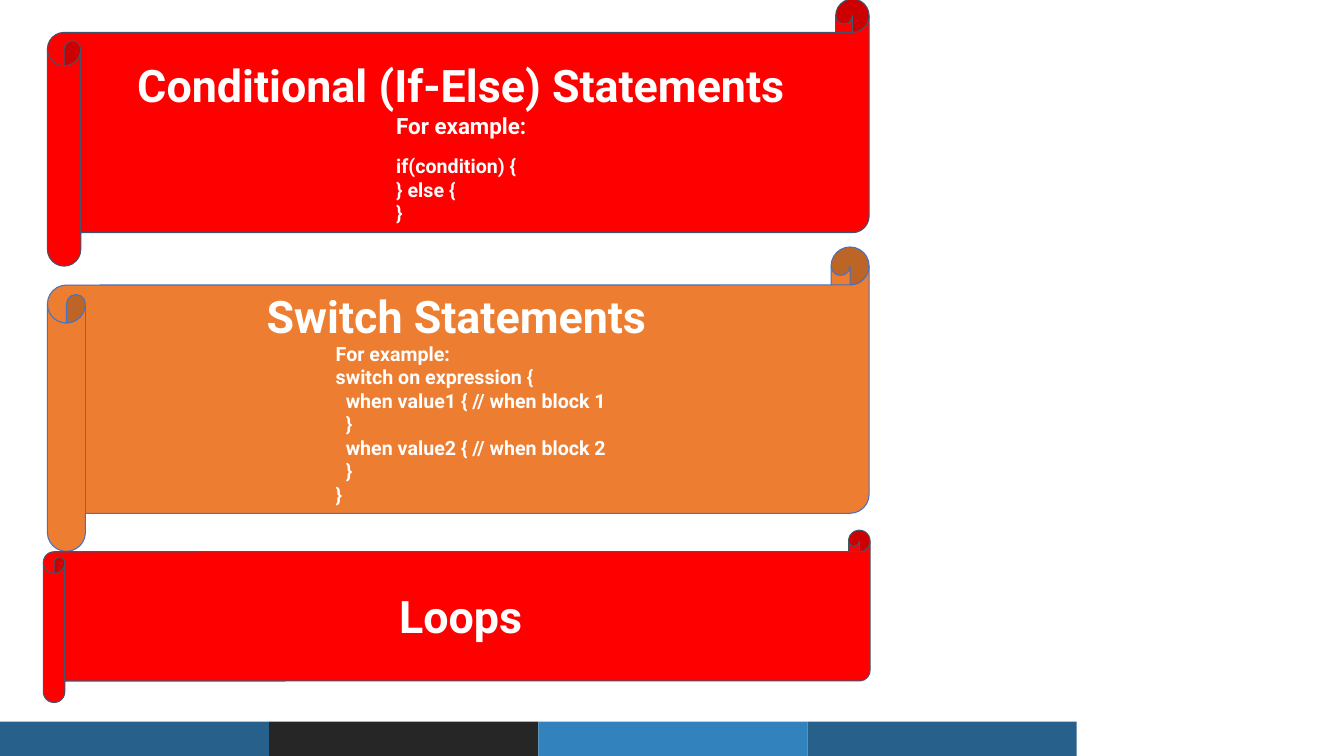
from pptx import Presentation
from pptx.dml.color import RGBColor
from pptx.enum.shapes import MSO_SHAPE
from pptx.enum.text import MSO_ANCHOR, MSO_AUTO_SIZE, PP_ALIGN
from pptx.oxml.xmlchemy import OxmlElement
from pptx.util import Inches, Pt

IF_ELSE_CODE = [("if(condition) {", 0), ("} else {", 0), ("}", 0)]
SWITCH_CODE = [
    ("For example:", 0),
    ("switch on expression {", 0),
    ("when value1 { // when block 1", 1),
    ("}", 1),
    ("when value2 { // when block 2", 1),
    ("}", 1),
    ("}", 0),
]


def color(hex_value):
    return RGBColor.from_string(hex_value)


class SlideBuilder:
    font_name = "Roboto"
    text_color = "FFFFFF"
    code_indent = Inches(0.1)

    def __init__(self, slide):
        self.slide = slide
        self.shapes = slide.shapes

    def block(self, preset, box, fill, line=None):
        shape = self.shapes.add_shape(preset, *map(Inches, box))
        shape.shadow.inherit = False
        shape.fill.solid()
        shape.fill.fore_color.rgb = color(fill)
        if line:
            shape.line.color.rgb = color(line)
            shape.line.width = Pt(0.75)
        else:
            shape.line.fill.background()
        return shape

    def scroll(self, box, fill, line):
        self.block(MSO_SHAPE.HORIZONTAL_SCROLL, box, fill, line).adjustments[0] = 0.125

    def footer(self, fills, width, top, height):
        for index, fill in enumerate(fills):
            self.block(MSO_SHAPE.RECTANGLE, (index * width, top, width, height), fill)

    def place(self, shape, box, anchor, margins):
        """Move a text shape in front of the scrolls and set its frame."""
        self.shapes._spTree.append(shape._element)
        for name, value in zip(("left", "top", "width", "height"), box):
            setattr(shape, name, Inches(value))
        frame = shape.text_frame
        settings = {"word_wrap": True, "auto_size": MSO_AUTO_SIZE.NONE,
                    "vertical_anchor": anchor}
        sides = ("margin_left", "margin_top", "margin_right", "margin_bottom")
        settings.update(zip(sides, map(Inches, margins)))
        for name, value in settings.items():
            setattr(frame, name, value)
        return frame

    def add_text(self, paragraph, text, size, **formats):
        formats = {"line_spacing": 1.0, "space_before": Pt(0),
                   "space_after": Pt(0), **formats}
        for name, value in formats.items():
            setattr(paragraph, name, value)
        run = paragraph.add_run()
        run.text = text
        font_values = {"name": self.font_name, "size": Pt(size), "bold": True}
        for name, value in font_values.items():
            setattr(run.font, name, value)
        run.font.color.rgb = color(self.text_color)

    def heading(self, text, box, placeholder=None):
        shape = placeholder or self.shapes.add_textbox(*map(Inches, box))
        frame = self.place(shape, box, MSO_ANCHOR.BOTTOM, [0.13] * 4)
        self.add_text(frame.paragraphs[0], text, 32, alignment=PP_ALIGN.CENTER)

    def code(self, placeholder, lines, box, lead=None):
        """Fill a body placeholder with unbulleted code below an optional lead line."""
        frame = self.place(placeholder, box, MSO_ANCHOR.TOP, (0.1, 0.05, 0.1, 0.05))
        entries = [(text, level, 14, 0) for text, level in lines]
        if lead:
            entries.insert(0, (lead, 0, 16, 11))
        for index, (text, level, size, gap) in enumerate(entries):
            paragraph = frame.add_paragraph() if index else frame.paragraphs[0]
            self.add_text(paragraph, text, size, alignment=PP_ALIGN.LEFT,
                          space_after=Pt(gap))
            properties = paragraph._p.get_or_add_pPr()
            properties.set("marL", str(level * self.code_indent))
            properties.set("indent", "0")
            properties.append(OxmlElement("a:buNone"))


def main():
    presentation = Presentation()
    presentation.slide_width = Inches(13.33)
    presentation.slide_height = Inches(7.5)
    two_content = presentation.slide_layouts[3]
    slide = presentation.slides.add_slide(two_content)
    title, if_else_body, switch_body = slide.placeholders
    builder = SlideBuilder(slide)

    builder.footer(("28608C", "262626", "3282BE", "28608C"), 2.67, 7.16, 0.34)
    builder.scroll((0.47, -0.01, 8.15, 2.65), "FF0000", "44546A")
    builder.scroll((0.47, 2.45, 8.15, 3.02), "ED7D31", "4472C4")
    builder.scroll((0.43, 5.26, 8.2, 1.71), "FF0000", "44546A")

    builder.heading("Conditional (If-Else) Statements", (0.5, 0.47, 8.15, 0.77), title)
    builder.code(if_else_body, IF_ELSE_CODE, (3.83, 1.06, 2.98, 1.45), "For example:")
    builder.heading("Switch Statements", (0.46, 2.76, 8.14, 0.77))
    builder.code(switch_body, SWITCH_CODE, (3.23, 3.34, 4.02, 1.99))
    builder.heading("Loops", (0.43, 5.77, 8.28, 0.73))

    presentation.save("out.pptx")


if __name__ == "__main__":
    main()
